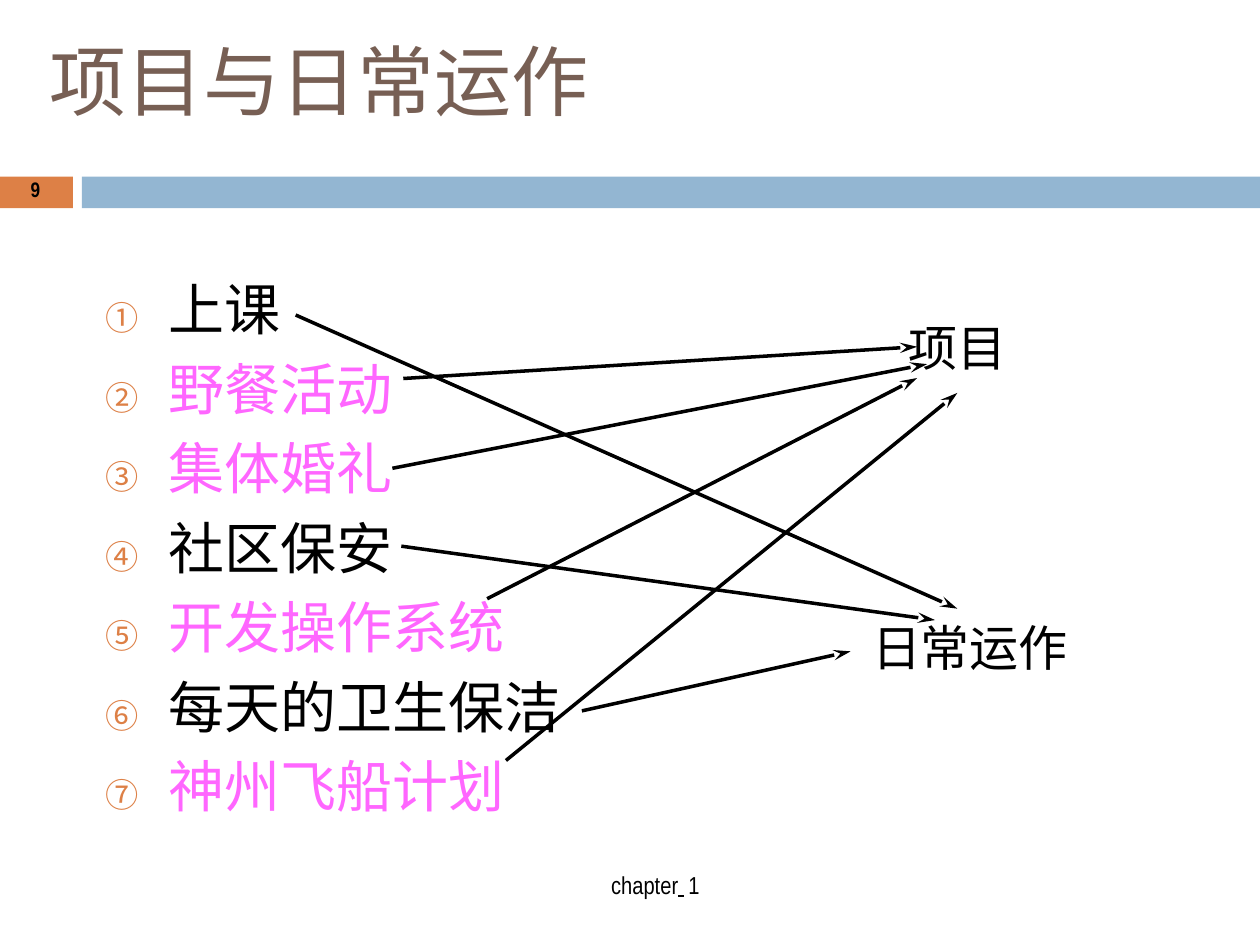
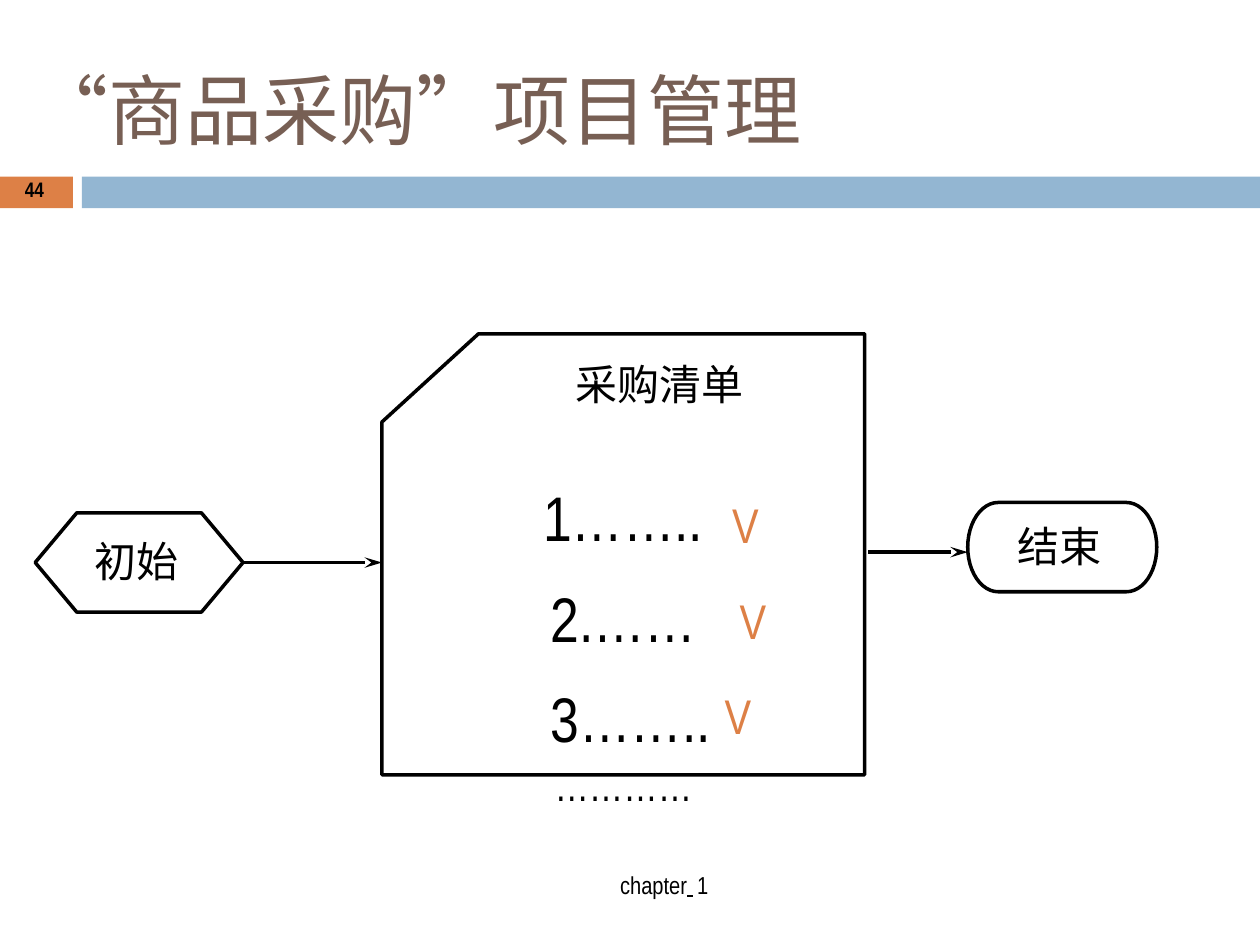
from lxml.etree import SubElement
from pptx import Presentation
from pptx.dml.color import RGBColor
from pptx.enum.shapes import MSO_CONNECTOR, MSO_SHAPE
from pptx.enum.text import MSO_ANCHOR, PP_ALIGN
from pptx.oxml.ns import qn
from pptx.util import Cm, Pt

BLACK = RGBColor(0x00, 0x00, 0x00)
BROWN = RGBColor(0x77, 0x5F, 0x54)
ORANGE = RGBColor(0xDD, 0x80, 0x46)
BLUE = RGBColor(0x93, 0xB6, 0xD2)
PINK = RGBColor(0xFF, 0x66, 0xFF)
SC = "Noto Sans CJK SC"
JP = "Noto Sans CJK JP"
NARROW = "Arial Narrow"


class Deck:
    def __init__(self):
        self.prs = Presentation()
        self.prs.slide_width, self.prs.slide_height = Cm(25.4), Cm(19.05)
        self.s = None

    def slide(self, title, title_box, number, footer_left):
        self.s = self.prs.slides.add_slide(self.prs.slide_layouts[5])
        self.band(0, 1.47, ORANGE)
        self.band(1.65, 23.75, BLUE)
        sp = self.s.shapes.title
        sp.left, sp.top, sp.width, sp.height = map(Cm, title_box)
        self.fill_frame(sp.text_frame, [[(title, self.style(44, SC, BROWN))]])
        small = self.style(14, NARROW)
        self.text((footer_left, 17.5, 2.08, 0.66), [[
            ("chapter", small),
            (" ", {**small, "underline": True, "spc": 250}),
            ("1", small)]])
        width = 0.24 * len(number)
        self.text((0.74 - width / 2, 3.53, width, 0.58),
                  [[(number, self.style(12, NARROW, bold=True))]])

    def style(self, size, name, color=BLACK, **extra):
        return {"size": Pt(size), "name": name, "color": color, **extra}

    def band(self, left, width, color):
        sp = self.shape(MSO_SHAPE.RECTANGLE, (left, 3.56, width, 0.64))
        sp.fill.solid()
        sp.fill.fore_color.rgb = color
        sp.line.fill.background()

    def shape(self, kind, box):
        sp = self.s.shapes.add_shape(kind, *map(Cm, box))
        sp.shadow.inherit = False
        sp.fill.background()
        sp.line.color.rgb = BLACK
        sp.line.width = Pt(2)
        return sp

    def add_run(self, p, text, style):
        r = p.add_run()
        r.text = text
        rPr = r._r.get_or_add_rPr()
        for key, value in style.items():
            if key == "color":
                r.font.color.rgb = value
            elif key in ("spc", "baseline"):
                rPr.set(key, str(value))
            else:
                setattr(r.font, key, value)
        SubElement(rPr, qn("a:ea")).set("typeface", style["name"])

    def fill_frame(self, tf, lines, top=0.03, layout=()):
        frame = {"word_wrap": True, "vertical_anchor": MSO_ANCHOR.TOP,
                 "margin_left": 0, "margin_right": 0,
                 "margin_top": Cm(top), "margin_bottom": 0}
        for key, value in frame.items():
            setattr(tf, key, value)
        for i, runs in enumerate(lines):
            p = tf.paragraphs[0] if i == 0 else tf.add_paragraph()
            p.alignment = PP_ALIGN.LEFT
            indent, tab, before = layout[i] if layout else (0, 0, 0)
            p.space_before = Pt(before)
            pPr = p._p.get_or_add_pPr()
            pPr.set("marL", str(Cm(indent)))
            pPr.set("indent", "0")
            if tab:
                tabs = SubElement(pPr, qn("a:tabLst"))
                SubElement(tabs, qn("a:tab"), pos=str(Cm(tab)), algn="l")
            for text, style in runs:
                self.add_run(p, text, style)

    def text(self, box, lines, **options):
        sp = self.s.shapes.add_textbox(*map(Cm, box))
        self.fill_frame(sp.text_frame, lines, **options)

    def arrow(self, x1, y1, x2, y2, source=None):
        sp = self.s.shapes.add_connector(
            MSO_CONNECTOR.STRAIGHT, *map(Cm, (x1, y1, x2, y2)))
        if source is not None:
            sp.begin_connect(source, 3)
        sp.line.color.rgb = BLACK
        sp.line.width = Pt(2)
        SubElement(sp.line._get_or_add_ln(), qn("a:tailEnd"),
                   type="stealth", w="med", len="lg")
        SubElement(sp._element.spPr, qn("a:effectLst"))


def build_matching(deck):
    deck.slide("项目与日常运作", (0.99, 0.64, 10.95, 1.93), "9", 12.32)
    activities = [("上课", BLACK), ("野餐活动", PINK), ("集体婚礼", PINK),
                  ("社区保安", BLACK), ("开发操作系统", PINK),
                  ("每天的卫生保洁", BLACK), ("神州飞船计划", PINK)]
    marker = deck.style(19, JP, ORANGE)
    lines = [[(mark + "\t", marker), (name, deck.style(32, JP, color))]
             for mark, (name, color) in zip("①②③④⑤⑥⑦", activities)]
    layout = [(0, 1.47, 7 if i else 0) for i in range(len(lines))]
    deck.text((2.13, 5.26, 9.42, 11.28), lines, top=0.28, layout=layout)
    label = deck.style(28, JP)
    deck.text((17.58, 12.42, 4.01, 1.24), [[("日常运作", label)]])
    deck.text((18.31, 6.38, 2.03, 1.24), [[("项目", label)]])
    for ends in [(10.2, 15.33, 19.3, 7.92), (9.82, 12.07, 18.49, 7.62),
                 (8.13, 7.63, 18.49, 6.99), (7.91, 9.44, 18.69, 7.34),
                 (5.96, 6.35, 19.3, 12.27), (8.09, 11.01, 18.85, 12.5),
                 (11.73, 14.33, 17.15, 13.13)]:
        deck.arrow(*ends)


def build_purchase(deck):
    deck.slide("“商品采购”项目管理", (0.64, 1.24, 15.6, 1.93), "44", 12.5)
    label = deck.style(24, SC)
    deck.shape(MSO_SHAPE.FLOWCHART_CARD, (7.7, 6.73, 9.73, 8.89))
    deck.text((11.61, 7.19, 3.45, 1.09), [[("采购清单", label)]])
    deck.shape(MSO_SHAPE.FLOWCHART_TERMINATOR, (19.51, 10.13, 3.81, 1.8))
    deck.text((20.52, 10.46, 1.78, 1.09), [[("结束", label)]])
    start = deck.shape(MSO_SHAPE.FLOWCHART_PREPARATION, (0.71, 10.34, 4.19, 2))
    deck.text((1.9, 10.77, 1.75, 1.09), [[("初始", label)]])
    deck.arrow(4.9, 11.34, 7.7, 11.34, start)
    deck.arrow(17.5, 11.13, 19.51, 11.13)
    item = deck.style(36, NARROW, spc=-10)
    lines = [[(text, item),
              ("V", deck.style(48, NARROW, ORANGE, baseline=raised))]
             for text, raised in [("1……..\t", -3000), ("2.……\t", 3000),
                                  ("3…….. ", 10000)]]
    lines.append([("…………", deck.style(24, NARROW))])
    deck.text((10.85, 9.19, 4.7, 5.66), lines,
              layout=[(0.1, 3.99, 0), (0.25, 3.84, 0), (0.25, 0, 0),
                      (0.33, 0, 0)])


def main():
    deck = Deck()
    build_matching(deck)
    build_purchase(deck)
    deck.prs.save("out.pptx")


if __name__ == "__main__":
    main()
